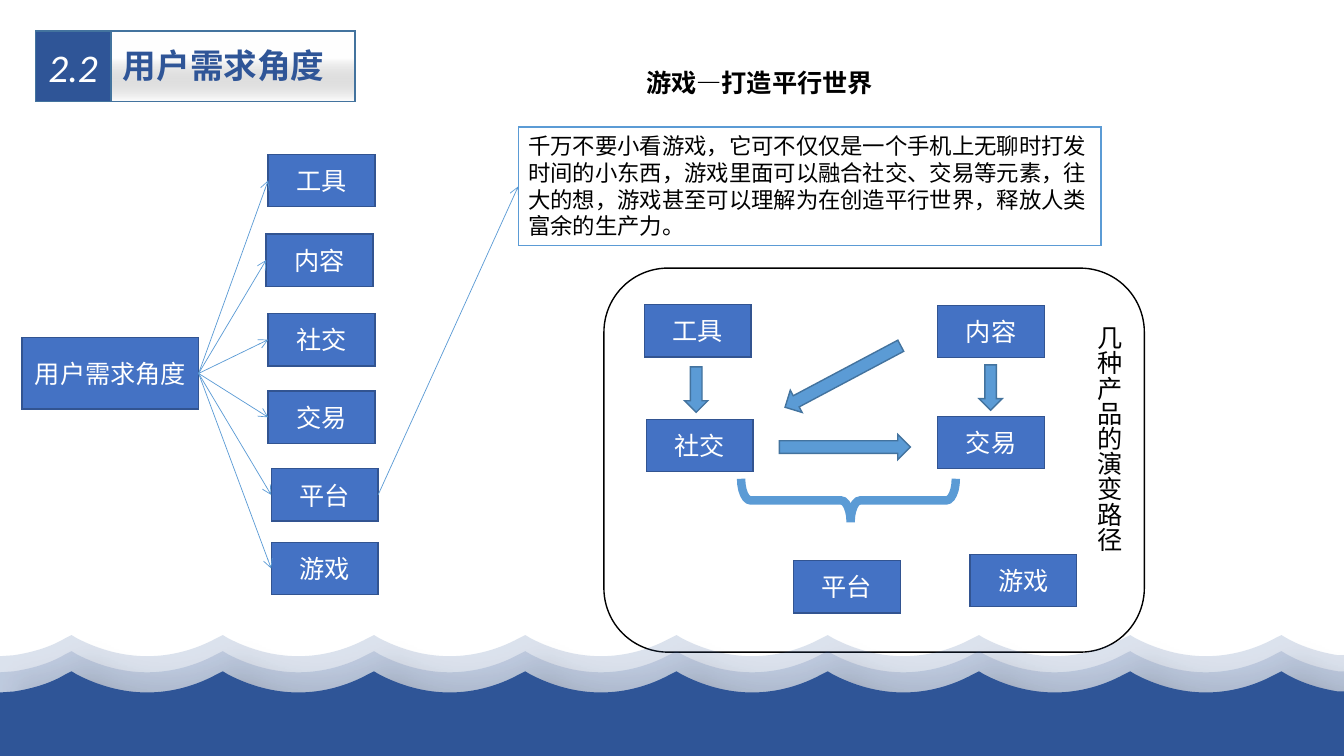
from dataclasses import dataclass
from typing import Any, Optional

from lxml.etree import SubElement as Sub
from pptx import Presentation
from pptx.dml.color import RGBColor as RGB
from pptx.enum.shapes import MSO_CONNECTOR as Wire, MSO_SHAPE as Kind
from pptx.enum.text import MSO_ANCHOR as Anchor, MSO_AUTO_SIZE as Auto, PP_ALIGN as Align
from pptx.oxml.ns import qn
from pptx.util import Emu, Pt

PX = 9144
Spot = tuple[int, int]


@dataclass(frozen=True)
class Theme:
    navy: str = "2F5597"
    blue: str = "4472C4"
    edge: str = "325491"
    sky: str = "5B9BD5"
    rim: str = "43739E"
    gray: str = "808080"
    white: str = "FFFFFF"
    black: str = "000000"
    latin: str = "Calibri"
    han: str = "Noto Sans CJK SC"
    note: int = 16
    body: int = 18
    head: int = 24
    mark: int = 28


T = Theme()


@dataclass(frozen=True)
class Box:
    left: int
    top: int
    width: int
    height: int


@dataclass(frozen=True)
class Style:
    fill: Optional[str] = None
    line: Optional[str] = None
    weight: float = 1


@dataclass(frozen=True)
class Font:
    size: int
    color: str
    name: str = T.latin
    bold: bool = False
    italic: bool = False


@dataclass(frozen=True)
class Node:
    text: str
    left: int
    top: int


@dataclass(frozen=True)
class Arrow:
    box: Box
    turn: int


NODE = Style(T.blue, T.edge)
ARROW = Style(T.sky, T.rim)
LABEL = Font(T.body, T.white)

MENU = [
    Node("工具", 266, 153), Node("内容", 264, 232), Node("社交", 266, 311),
    Node("交易", 266, 388), Node("平台", 269, 465), Node("游戏", 269, 538),
]
FLOW = [
    Node("工具", 639, 302), Node("内容", 930, 303), Node("社交", 641, 416),
    Node("交易", 930, 413), Node("平台", 787, 556), Node("游戏", 962, 550),
]
ARROWS = [
    Arrow(Box(668, 375, 45, 23), 90), Arrow(Box(773, 431, 130, 25), 0),
    Arrow(Box(960, 373, 45, 23), 90), Arrow(Box(771, 361, 130, 25), 152),
]


def place(box: Box) -> list[Emu]:
    return [Emu(n * PX) for n in (box.left, box.top, box.width, box.height)]


def fade(color: Any, alpha: int) -> None:
    Sub(color, qn("a:alpha"), val=str(alpha * 1000))


def paint(shape: Any, style: Style) -> None:
    shape.shadow.inherit = False
    if style.fill:
        shape.fill.solid()
        shape.fill.fore_color.rgb = RGB.from_string(style.fill)
    else:
        shape.fill.background()
    if style.line:
        shape.line.color.rgb = RGB.from_string(style.line)
        shape.line.width = Pt(style.weight)
        Sub(shape.element.spPr.find(qn("a:ln")), qn("a:miter"), lim="800000")
    else:
        shape.line.fill.background()


def form(pool: Any, kind: Kind, box: Box, style: Style) -> Any:
    shape = pool.add_shape(kind, *place(box))
    paint(shape, style)
    return shape


def write(shape: Any, text: str, font: Font, align: Align = Align.CENTER,
          anchor: Anchor = Anchor.MIDDLE, wrap: bool = True) -> None:
    frame = shape.text_frame
    frame.word_wrap = wrap
    frame.vertical_anchor = anchor
    para = frame.paragraphs[0]
    para.text = text
    para.alignment = align
    para.font.size = Pt(font.size)
    para.font.name = font.name
    para.font.bold = font.bold
    para.font.italic = font.italic
    para.font.color.rgb = RGB.from_string(font.color)


def label(pool: Any, box: Box, text: str, font: Font, wrap: bool = True) -> Any:
    shape = pool.add_textbox(*place(box))
    write(shape, text, font, Align.LEFT, Anchor.TOP, wrap)
    shape.text_frame.auto_size = Auto.SHAPE_TO_FIT_TEXT
    return shape


def node(pool: Any, item: Node) -> Any:
    shape = form(pool, Kind.RECTANGLE, Box(item.left, item.top, 106, 52), NODE)
    write(shape, item.text, LABEL)
    return shape


def link(pool: Any, start: Any, end: Any) -> None:
    wire = pool.add_connector(Wire.STRAIGHT, 0, 0, 0, 0)
    wire.begin_connect(start, 3)
    wire.end_connect(end, 1)
    wire.line.color.rgb = RGB.from_string(T.sky)
    wire.line.width = Pt(0.5)
    props = wire.element.spPr
    Sub(props.find(qn("a:ln")), qn("a:tailEnd"), type="arrow")
    Sub(props, qn("a:effectLst"))


def crest() -> list[list[Spot]]:
    steps: list[list[Spot]] = [[(71, 0)]]
    for x in range(71, 1271, 150):
        steps += [[(x + 5, 3)], [(x + 26, 14), (x + 50, 21), (x + 75, 21)],
                  [(x + 100, 21), (x + 124, 14), (x + 144, 3)], [(x + 150, 0)]]
    return steps + [[(1276, 3)], [(1292, 12), (1309, 17), (1327, 20)], [(1333, 20)],
                    [(1333, 325)], [(0, 325)], [(0, 21)], [(14, 20)],
                    [(33, 17), (50, 12), (65, 3)], [(71, 0)]]


def wave(pool: Any, top: int, alpha: int) -> None:
    steps = crest()
    ends = [(x * PX, (top + y) * PX) for x, y in (step[-1] for step in steps)]
    pen = pool.build_freeform(*ends[0])
    pen.add_line_segments(ends[1:], close=True)
    shape = pen.convert_to_shape()
    paint(shape, Style(T.navy))
    props = shape.element.spPr
    for step, seg in zip(steps[1:], list(props.iter(qn("a:lnTo")))):
        if len(step) == 3:
            bend = seg.makeelement(qn("a:cubicBezTo"))
            for x, y in step:
                Sub(bend, qn("a:pt"), x=str(x * PX), y=str(y * PX))
            seg.getparent().replace(seg, bend)
    if alpha < 100:
        fade(props.find(qn("a:solidFill"))[0], alpha)
    cast = Sub(props.find(qn("a:effectLst")), qn("a:outerShdw"), blurRad=str(Pt(15)),
               dist=str(Pt(18)), dir="2700000", algn="tl", rotWithShape="0")
    fade(Sub(cast, qn("a:srgbClr"), val=T.black), 30)


def banner(pool: Any) -> None:
    group = pool.add_group_shape().shapes
    plate = form(group, Kind.RECTANGLE, Box(110, 31, 242, 70), Style(T.white, T.rim))
    plate.fill.gradient()
    plate.fill.gradient_angle = 270
    for stop, (spot, color) in zip(plate.fill.gradient_stops, [(0.38, T.white), (1, T.gray)]):
        stop.position = spot
        stop.color.rgb = RGB.from_string(color)
    fade(plate.element.spPr.find(qn("a:gradFill")).findall(".//" + qn("a:srgbClr"))[1], 0)
    label(group, Box(112, 40, 223, 50), "用户需求角度",
          Font(T.head, T.navy, T.han, bold=True), wrap=False)
    badge = form(group, Kind.RECTANGLE, Box(35, 31, 75, 70), Style(T.navy, T.rim))
    write(badge, "2.2", Font(T.mark, T.white, italic=True))


def main() -> None:
    deck = Presentation()
    deck.slide_width, deck.slide_height = Emu(1333 * PX), Emu(750 * PX)
    pool = deck.slides.add_slide(deck.slide_layouts[6]).shapes
    form(pool, Kind.ROUNDED_RECTANGLE, Box(599, 266, 536, 381), Style(T.white, T.black))
    for top, alpha in [(630, 17), (646, 17), (666, 100)]:
        wave(pool, top, alpha)
    banner(pool)
    root = form(pool, Kind.RECTANGLE, Box(22, 335, 175, 71), NODE)
    write(root, "用户需求角度", LABEL)
    menu = {item.text: node(pool, item) for item in MENU}
    for shape in menu.values():
        link(pool, root, shape)
    label(pool, Box(631, 62, 468, 40), "游戏—打造平行世界", Font(T.body, T.black, bold=True))
    note = form(pool, Kind.RECTANGLE, Box(514, 126, 578, 118), Style(line=T.sky, weight=0.75))
    write(note, "千万不要小看游戏，它可不仅仅是一个手机上无聊时打发时间的小东西，"
          "游戏里面可以融合社交、交易等元素，往大的想，游戏甚至可以理解为在创造平行世界，"
          "释放人类富余的生产力。", Font(T.note, T.black), Align.LEFT, Anchor.TOP)
    note.text_frame.auto_size = Auto.SHAPE_TO_FIT_TEXT
    link(pool, menu["平台"], note)
    for item in FLOW:
        node(pool, item)
    for item in ARROWS:
        form(pool, Kind.RIGHT_ARROW, item.box, ARROW).rotation = item.turn
    brace = form(pool, Kind.RIGHT_BRACE, Box(820, 390, 43, 213), Style(line=T.sky, weight=6))
    brace.rotation = 90
    brace.adjustments[0], brace.adjustments[1] = 0.22, 0.49
    side = label(pool, Box(1070, 313, 50, 299), "几种产品的演变路径", Font(T.body, T.black))
    side.text_frame._txBody.bodyPr.set("vert", "eaVert")
    deck.save("out.pptx")


if __name__ == "__main__":
    main()
